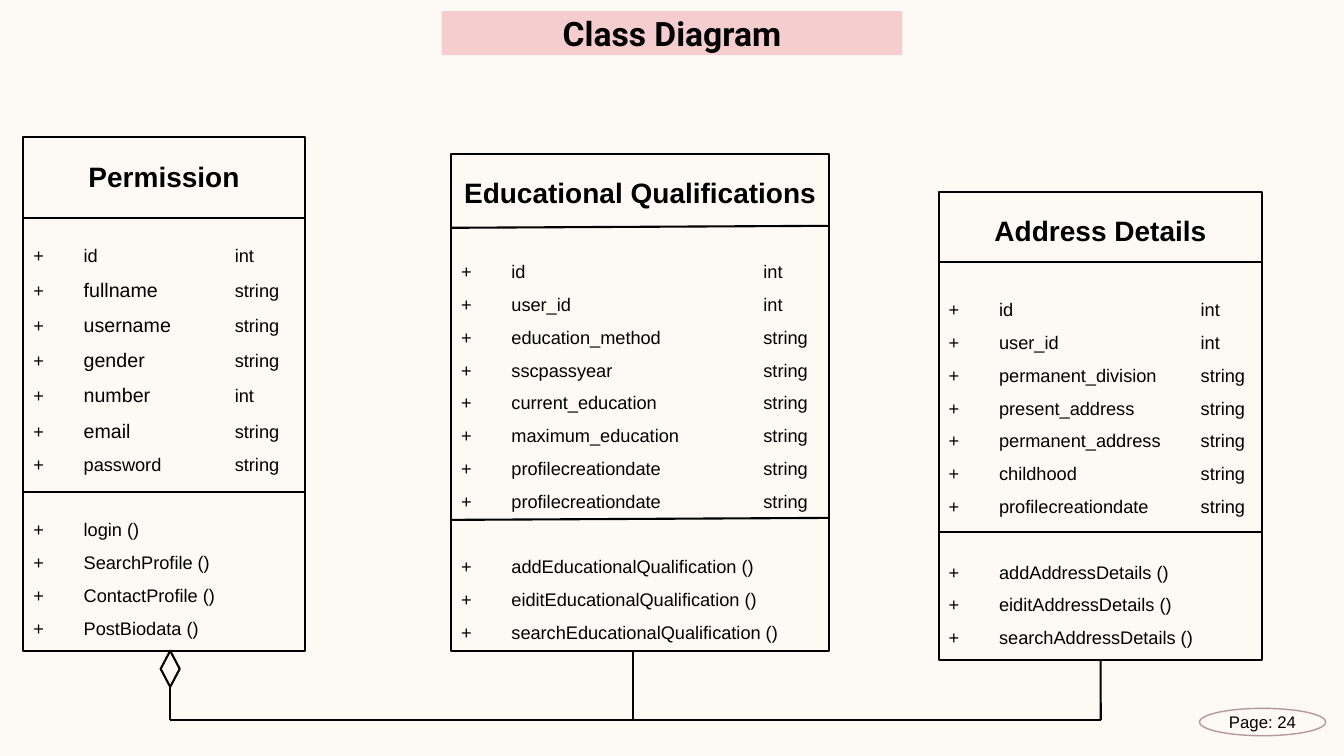
"""Build a class diagram slide with three linked classes."""
from dataclasses import dataclass

from lxml.etree import SubElement
from pptx import Presentation
from pptx.dml.color import RGBColor
from pptx.enum.shapes import MSO_CONNECTOR, MSO_SHAPE
from pptx.enum.text import MSO_ANCHOR, MSO_AUTO_SIZE, PP_ALIGN
from pptx.oxml.ns import qn
from pptx.util import Cm, Pt


@dataclass(frozen=True)
class Theme:
    paper: RGBColor = RGBColor(0xFD, 0xFA, 0xF6)
    ink: RGBColor = RGBColor(0, 0, 0)
    band: RGBColor = RGBColor(0xF5, 0xCD, 0xCE)
    oval: RGBColor = RGBColor(0xB5, 0x98, 0x98)
    title: int = 24
    heading: int = 20
    large: int = 14
    body: int = 13
    page: int = 12
    leading: float = 1.8
    stroke: float = 1.5


T = Theme()


def write(p, text, *, size, bold=False, font="Arial", align=PP_ALIGN.LEFT):
    p.alignment = align
    r = p.add_run()
    r.text = text
    r.font.size, r.font.bold, r.font.name = Pt(size), bold, font
    r.font.color.rgb = T.ink


def link(x1, y1, x2, y2):
    c = s.shapes.add_connector(MSO_CONNECTOR.STRAIGHT, Cm(x1), Cm(y1), Cm(x2), Cm(y2))
    c.line.color.rgb, c.line.width = T.ink, Pt(T.stroke)
    SubElement(c._element.spPr, qn("a:effectLst"))
    return c


CLASSES = [
    dict(name="Permission", box=(0.59, 3.46, 7.09, 12.95), rules=(5.49, 12.4), tilt=0, type_at=5.08,
         fields=["id int", "fullname string", "username string", "gender string",
                 "number int", "email string", "password string"],
         large={"fullname", "username", "gender", "number", "email"},
         methods=["login", "SearchProfile", "ContactProfile", "PostBiodata"]),
    dict(name="Educational Qualifications", box=(11.37, 3.88, 9.53, 12.52),
         rules=(5.74, 13.1), tilt=0.05, type_at=7.62,
         fields=["id int", "user_id int", "education_method string", "sscpassyear string",
                 "current_education string", "maximum_education string",
                 "profilecreationdate string", "profilecreationdate string"],
         large=set(),
         methods=["addEducationalQualification", "eiditEducationalQualification",
                  "searchEducationalQualification"]),
    dict(name="Address Details", box=(23.66, 4.84, 8.15, 11.79), rules=(6.6, 13.41), tilt=0, type_at=6.35,
         fields=["id int", "user_id int", "permanent_division string", "present_address string",
                 "permanent_address string", "childhood string", "profilecreationdate string"],
         large=set(),
         methods=["addAddressDetails", "eiditAddressDetails", "searchAddressDetails"]),
]
NAME_AT = 1.27
BUS_Y = 18.14

prs = Presentation()
prs.slide_width, prs.slide_height = Cm(33.87), Cm(19.05)
s = prs.slides.add_slide(prs.slide_layouts[5])
s.background.fill.solid()
s.background.fill.fore_color.rgb = T.paper

sp = s.shapes.title
sp.left, sp.top, sp.width, sp.height = Cm(11.13), Cm(0.28), Cm(11.61), Cm(1.11)
sp.fill.solid()
sp.fill.fore_color.rgb = T.band
tf = sp.text_frame
tf.auto_size, tf.vertical_anchor = MSO_AUTO_SIZE.NONE, MSO_ANCHOR.MIDDLE
write(tf.paragraphs[0], "Class Diagram", size=T.title, bold=True, font="Roboto", align=PP_ALIGN.CENTER)

boxes = []
for cls in CLASSES:
    left, top, width, height = cls["box"]
    sp = s.shapes.add_shape(MSO_SHAPE.RECTANGLE, Cm(left), Cm(top), Cm(width), Cm(height))
    sp.shadow.inherit = False
    sp.fill.background()
    sp.line.color.rgb, sp.line.width = T.ink, Pt(T.stroke)
    boxes.append(sp)

    tf = sp.text_frame
    tf.word_wrap, tf.vertical_anchor = True, MSO_ANCHOR.TOP
    p = tf.paragraphs[0]
    p.line_spacing = Pt(T.heading * T.leading)
    write(p, cls["name"], size=T.heading, bold=True, align=PP_ALIGN.CENTER)

    rows = [field.split() for field in cls["fields"]] + [(m + " ()", "") for m in cls["methods"]]
    gaps = {0: 28.8, len(cls["fields"]): T.body * T.leading}
    for i, (name, kind) in enumerate(rows):
        size = T.large if name in cls["large"] else T.body
        p = tf.add_paragraph()
        p.line_spacing, p.space_before = Pt(size * T.leading), Pt(gaps.get(i, 0))
        write(p, "+\t", size=T.body)
        write(p, name, size=size)
        if kind:
            write(p, "\t" + kind, size=T.body)
        tabs = SubElement(p._p.get_or_add_pPr(), qn("a:tabLst"))
        for stop in (NAME_AT, cls["type_at"]):
            SubElement(tabs, qn("a:tab"), pos=str(Cm(stop)), algn="l")

    for y in cls["rules"]:
        link(left, y, left + width, y - cls["tilt"])

diamond = s.shapes.add_shape(MSO_SHAPE.FLOWCHART_DECISION, Cm(4.05), Cm(16.4), Cm(0.48), Cm(0.91))
diamond.shadow.inherit = False
diamond.fill.background()
diamond.line.color.rgb, diamond.line.width = T.ink, Pt(T.stroke)

link(4.29, 17.31, 4.29, BUS_Y).begin_connect(diamond, 2)
link(15.95, 16.4, 15.95, BUS_Y)
link(27.74, 16.63, 27.74, BUS_Y).begin_connect(boxes[2], 2)
link(27.74, BUS_Y, 4.29, BUS_Y)

sp = s.shapes.add_shape(MSO_SHAPE.OVAL, Cm(30.23), Cm(17.85), Cm(3.18), Cm(0.69))
sp.shadow.inherit = False
sp.fill.background()
sp.line.color.rgb, sp.line.width = T.oval, Pt(1)
tf = sp.text_frame
tf.word_wrap, tf.vertical_anchor = False, MSO_ANCHOR.MIDDLE
write(tf.paragraphs[0], "Page: 24", size=T.page, align=PP_ALIGN.CENTER)

prs.save("out.pptx")
